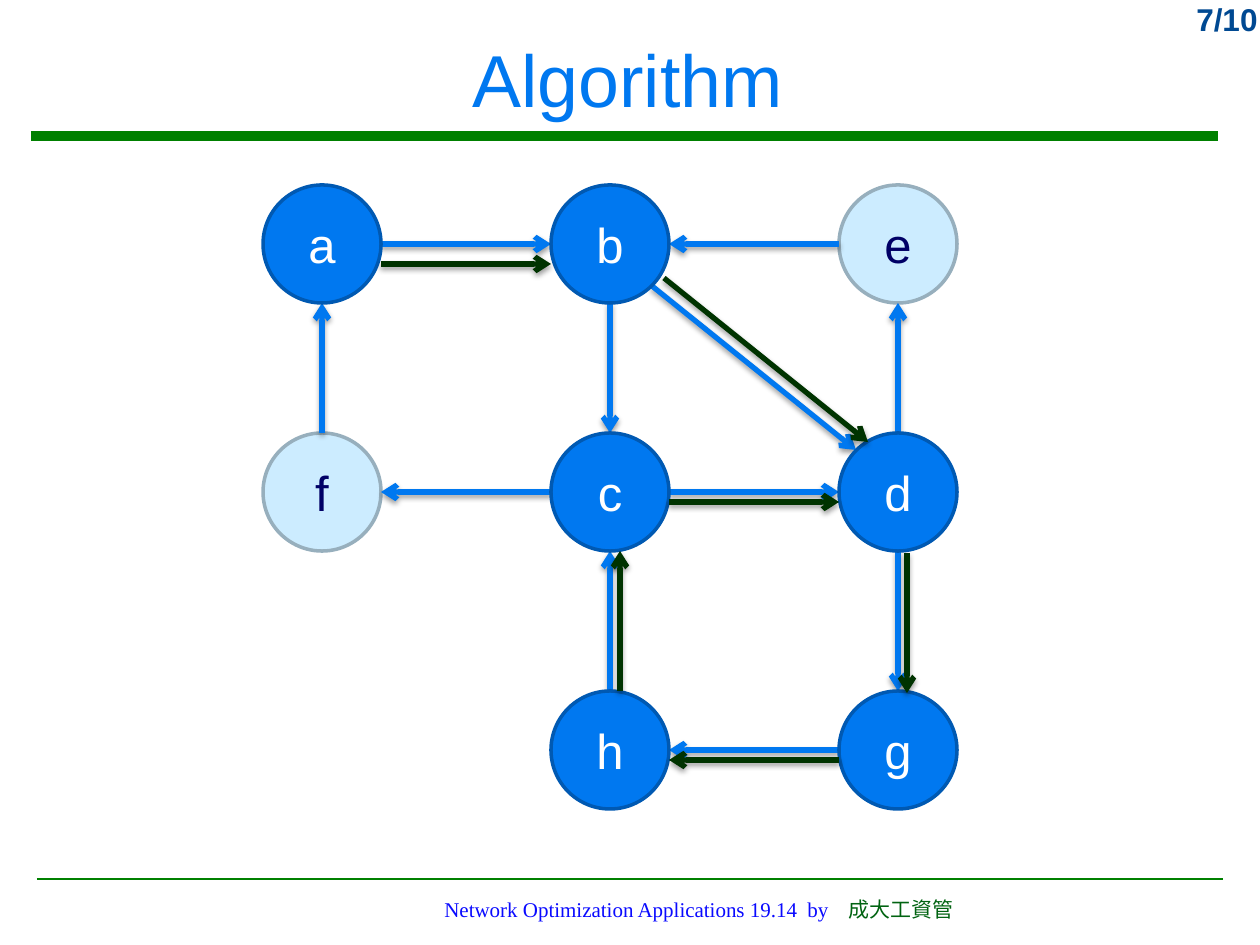
import pptx
import pptx.util
import pptx.dml.color
import pptx.enum.shapes
import pptx.enum.text
import pptx.oxml
import pptx.oxml.ns

PX = 914400 / 126
NS = pptx.oxml.ns.nsdecls("a")
ALIGN = pptx.enum.text.PP_ALIGN
ANCHOR = pptx.enum.text.MSO_ANCHOR
COLORS = {
    "blue": "0078F0", "blue_edge": "0059B2", "pale": "CCECFF", "pale_edge": "97AFBD",
    "navy": "000066", "white": "FFFFFF", "path": "003300", "rule": "008000",
    "number": "004992", "footer": "0A0AFF", "school": "016311",
}
SHADOW = (
    f'<a:effectLst {NS}><a:outerShdw blurRad="40000" dist="20000" dir="5400000" '
    'rotWithShape="0"><a:srgbClr val="000000"><a:alpha val="38000"/></a:srgbClr>'
    '</a:outerShdw></a:effectLst>'
)

prs = pptx.Presentation()
prs.slide_width = pptx.util.Inches(10)
prs.slide_height = pptx.util.Inches(7.5)
s = prs.slides.add_slide(prs.slide_layouts[6])


def add_text(sp, runs, size, font, align, anchor, bold=False, tabs=()):
    tf = sp.text_frame
    for name, value in {"word_wrap": True, "vertical_anchor": anchor}.items():
        setattr(tf, name, value)
    p = tf.paragraphs[0]
    p.alignment = align
    if tabs:
        stops = "".join(f'<a:tab pos="{round(t * PX)}" algn="l"/>' for t in tabs)
        p._p.get_or_add_pPr().append(
            pptx.oxml.parse_xml(f"<a:tabLst {NS}>{stops}</a:tabLst>"))
    for text, color in runs:
        r = p.add_run()
        r.text = text
        fmt = {"size": pptx.util.Pt(size), "name": font, "bold": bold}
        for name, value in fmt.items():
            setattr(r.font, name, value)
        r.font.color.rgb = pptx.dml.color.RGBColor.from_string(COLORS[color])


def add_line(x1, y1, x2, y2, color, width, arrow=False):
    ends = [round(v * PX) for v in (x1, y1, x2, y2)]
    sp = s.shapes.add_connector(pptx.enum.shapes.MSO_CONNECTOR.STRAIGHT, *ends)
    sp.line.width = pptx.util.Pt(width)
    sp.line.color.rgb = pptx.dml.color.RGBColor.from_string(COLORS[color])
    if arrow:
        sp.line._get_or_add_ln().append(
            pptx.oxml.parse_xml(f'<a:tailEnd {NS} type="arrow"/>'))
    effect = SHADOW if arrow else f"<a:effectLst {NS}/>"
    sp._element.spPr.append(pptx.oxml.parse_xml(effect))


add_line(31, 136, 1218, 136, "rule", 5.25)
add_line(37, 879, 1223, 879, "rule", 1)

texts = [
    ((1155, -6, 115, 50), [("7/10", "number")], 18, "Arial",
     ALIGN.RIGHT, ANCHOR.TOP, True, ()),
    ((10, 11, 1235, 134), [("Algorithm", "blue")], 42, "Arial",
     ALIGN.CENTER, ANCHOR.MIDDLE, False, ()),
    ((432, 890, 805, 50),
     [("Network Optimization Applications 19.14\tby\t", "footer"), ("成大工資管", "school")],
     12, "Times New Roman", ALIGN.LEFT, ANCHOR.TOP, False, (363, 404)),
]
for box, *style in texts:
    add_text(s.shapes.add_textbox(*[round(v * PX) for v in box]), *style)

columns = [322, 610, 898]
rows = [244, 492, 750]
grid = ["abe", "fcd", " hg"]
nodes = {n: (x, y) for y, names in zip(rows, grid) for x, n in zip(columns, names) if n != " "}
radius, diagonal = 59, 42

edges = ["fa", "cf", "de", "ab", "bc", "cd", "hc", "dg", "eb", "bd", "gh"]
path = {"ab": (0, 20), "bd": (12, -8), "dg": (9, 2), "gh": (0, 10), "hc": (10, 0), "cd": (0, 10)}
layers = [
    ("ef", "pale", "pale_edge", "navy", {e: (0, 0) for e in edges}, "blue"),
    ("abcdgh", "blue", "blue_edge", "white", path, "path"),
]
for names, fill, edge, ink, arrows, arrow_color in layers:
    for n in names:
        x, y = nodes[n]
        box = [round(v * PX) for v in (x - radius, y - radius, 2 * radius, 2 * radius)]
        sp = s.shapes.add_shape(pptx.enum.shapes.MSO_SHAPE.OVAL, *box)
        sp.shadow.inherit = False
        sp.fill.solid()
        sp.fill.fore_color.rgb = pptx.dml.color.RGBColor.from_string(COLORS[fill])
        sp.line.color.rgb = pptx.dml.color.RGBColor.from_string(COLORS[edge])
        sp.line.width = pptx.util.Pt(2)
        add_text(sp, [(n, ink)], 28, "Arial", ALIGN.CENTER, ANCHOR.MIDDLE)
    for (start, end), (ox, oy) in arrows.items():
        (x1, y1), (x2, y2) = nodes[start], nodes[end]
        dx = (x2 > x1) - (x2 < x1)
        dy = (y2 > y1) - (y2 < y1)
        reach = diagonal if dx and dy else radius
        add_line(x1 + dx * reach + ox, y1 + dy * reach + oy,
                 x2 - dx * reach + ox, y2 - dy * reach + oy, arrow_color, 3, True)

prs.save("out.pptx")
